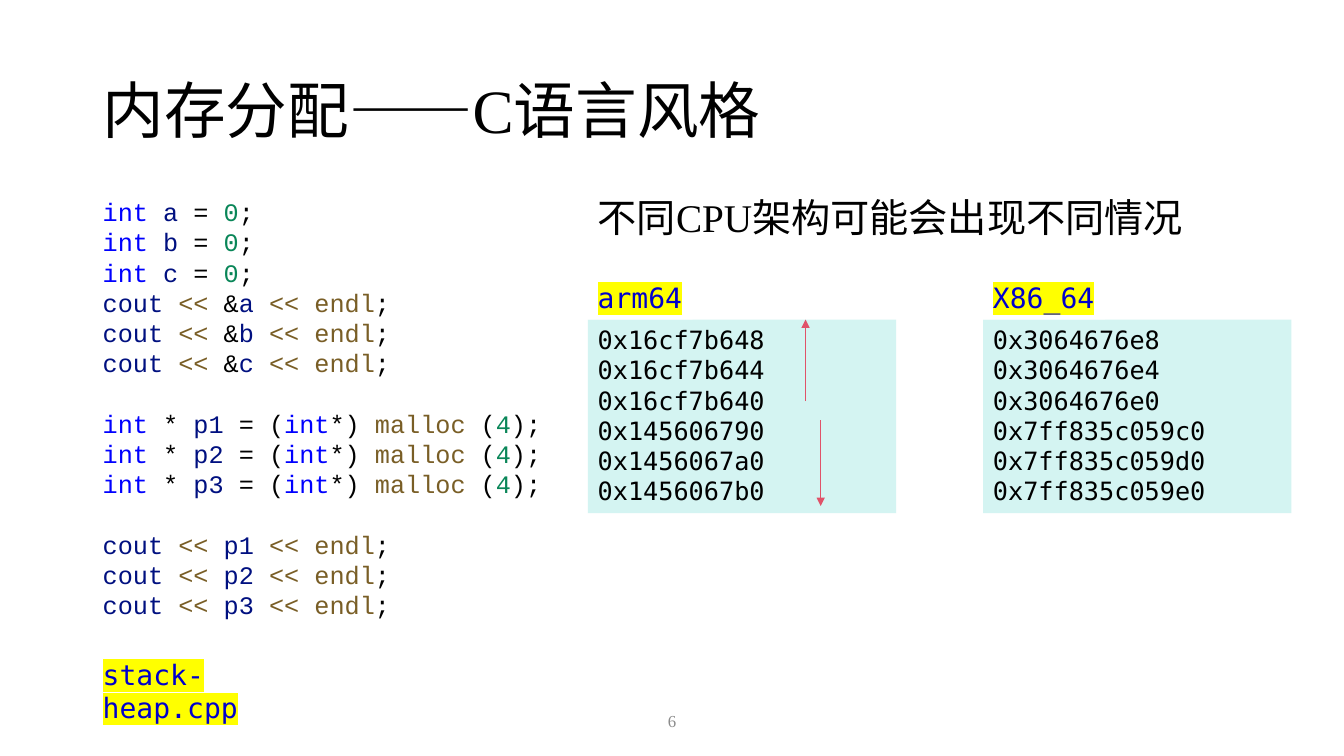
from lxml import etree
from pptx import Presentation
from pptx import util as u
from pptx.dml.color import RGBColor
from pptx.enum import lang, shapes, text
from pptx.oxml import ns

SERIF, MONO, CODE = "Times New Roman", "DejaVu Sans Mono", "Courier New"
BLACK, WHITE, GREY = "000000", "FFFFFF", "8C8C8C"
KEYWORD, VARIABLE, NUMBER, FUNCTION = "0000FF", "001080", "098658", "795E26"
LABEL, MARKER, PANEL, ARROW = "0000CC", "FFFF00", "D4F4F2", "E05269"
LINE_HEIGHT = u.Pt(21.6)


def colour(value):
    return RGBColor.from_string(value)


def add_element(parent, tag, **attributes):
    return etree.SubElement(parent, ns.qn(tag), attributes)


class SlideBuilder:
    def __init__(self, slide):
        self.slide = slide

    def style(self, paragraph, size, font, ink=None):
        paragraph.font.size = u.Pt(size)
        paragraph.font.name = font
        if ink:
            paragraph.font.color.rgb = colour(ink)

    def text_box(self, left, top, width, height, anchor=text.MSO_ANCHOR.TOP):
        box = self.slide.shapes.add_textbox(*map(u.Inches, (left, top, width, height)))
        box.text_frame.word_wrap = True
        box.text_frame.vertical_anchor = anchor
        return box

    def line_of_text(self, place, words, size, ink=BLACK, align=None,
                     anchor=text.MSO_ANCHOR.TOP, spacing=None):
        paragraph = self.text_box(*place, anchor).text_frame.paragraphs[0]
        paragraph.alignment = align
        paragraph.line_spacing = spacing
        self.style(paragraph, size, SERIF, ink)
        run = paragraph.add_run()
        run.text = words
        run.font.language_id = lang.MSO_LANGUAGE_ID.SIMPLIFIED_CHINESE

    def code(self, place, blocks):
        """Blocks of lines, each line a list of (words, colour), one line apart."""
        frame = self.text_box(*place).text_frame
        for block_index, block in enumerate(blocks):
            for line_index, line in enumerate(block):
                first = block_index == line_index == 0
                paragraph = frame.paragraphs[0] if first else frame.add_paragraph()
                paragraph.line_spacing = LINE_HEIGHT
                if block_index and line_index == 0:
                    paragraph.space_before = LINE_HEIGHT
                self.style(paragraph, 18, CODE)
                for words, ink in line:
                    run = paragraph.add_run()
                    run.text = words
                    run.font.color.rgb = colour(ink)

    def address_panel(self, left, top, addresses):
        panel = self.text_box(left, top, 3.06, 1.92)
        panel.fill.solid()
        panel.fill.fore_color.rgb = colour(PANEL)
        frame = panel.text_frame
        for index, address in enumerate(addresses):
            paragraph = frame.add_paragraph() if index else frame.paragraphs[0]
            paragraph.line_spacing = LINE_HEIGHT
            self.style(paragraph, 18, MONO, BLACK)
            paragraph.add_run().text = address

    def label(self, left, top, width, words, wrap=False):
        tag = self.text_box(left, top, width, 0.44)
        tag.fill.solid()
        tag.fill.fore_color.rgb = colour(WHITE)
        tag.text_frame.word_wrap = wrap
        paragraph = tag.text_frame.paragraphs[0]
        self.style(paragraph, 20, MONO, LABEL)
        run = paragraph.add_run()
        run.text = words
        run.font.color.rgb = colour(LABEL)
        highlight = add_element(run.font._element if hasattr(run.font, "_element")
                                else run._r.get_or_add_rPr(), "a:highlight")
        add_element(highlight, "a:srgbClr", val=MARKER)

    def arrow(self, x, start, end):
        line = self.slide.shapes.add_connector(
            shapes.MSO_CONNECTOR.STRAIGHT, *map(u.Inches, (x, start, x, end)))
        line.line.color.rgb = colour(ARROW)
        line.line.width = u.Pt(1)
        add_element(line.line._get_or_add_ln(), "a:tailEnd", type="triangle")
        add_element(line._element.spPr, "a:effectLst")


# Patterns of the code lines
def declare(name):
    return [("int ", KEYWORD), (name, VARIABLE), (" = ", BLACK),
            ("0", NUMBER), (";", BLACK)]


def allocate(name):
    return [("int", KEYWORD), (" * ", BLACK), (name, VARIABLE), (" = (", BLACK),
            ("int", KEYWORD), ("*) ", BLACK), ("malloc", FUNCTION),
            (" (", BLACK), ("4", NUMBER), (");", BLACK)]


def show(name, prefix=""):
    return [("cout ", VARIABLE), ("<< ", FUNCTION), (prefix, BLACK),
            (name + " ", VARIABLE), ("<< endl", FUNCTION), (";", BLACK)]


def main():
    deck = Presentation()
    deck.slide_width, deck.slide_height = u.Inches(13.33), u.Inches(7.5)
    builder = SlideBuilder(deck.slides.add_slide(deck.slide_layouts[6]))

    # Title and page number
    middle = text.MSO_ANCHOR.MIDDLE
    builder.line_of_text((0.92, 0.4, 11.5, 1.45), "内存分配——C语言风格", 44,
                         anchor=middle, spacing=0.9)
    builder.line_of_text((6.26, 6.95, 0.81, 0.4), "6", 12, GREY,
                         text.PP_ALIGN.CENTER, middle)

    # Program listing
    values, pointers = ("a", "b", "c"), ("p1", "p2", "p3")
    builder.code((0.92, 1.9, 6.67, 4.34), [
        [declare(name) for name in values] + [show(name, "&") for name in values],
        [allocate(name) for name in pointers],
        [show(name) for name in pointers],
    ])

    # Addresses on each architecture
    builder.line_of_text((5.83, 1.92, 7.06, 0.64), "不同CPU架构可能会出现不同情况",
                         28, spacing=0.9)
    architectures = [
        ("arm64", 5.83, 1.04, ["0x16cf7b648", "0x16cf7b644", "0x16cf7b640",
                               "0x145606790", "0x1456067a0", "0x1456067b0"]),
        ("X86_64", 9.75, 1.21, ["0x3064676e8", "0x3064676e4", "0x3064676e0",
                                "0x7ff835c059c0", "0x7ff835c059d0", "0x7ff835c059e0"]),
    ]
    for name, left, width, addresses in architectures:
        builder.address_panel(left, 3.17, addresses)
        builder.label(left, 2.73, width, name)

    # Directions of growth: stack up, heap down
    builder.arrow(7.99, 3.98, 3.17)
    builder.arrow(8.14, 4.17, 5.02)

    # File name
    builder.label(0.92, 6.47, 1.92, "stack-heap.cpp", wrap=True)

    deck.save("out.pptx")


if __name__ == "__main__":
    main()
